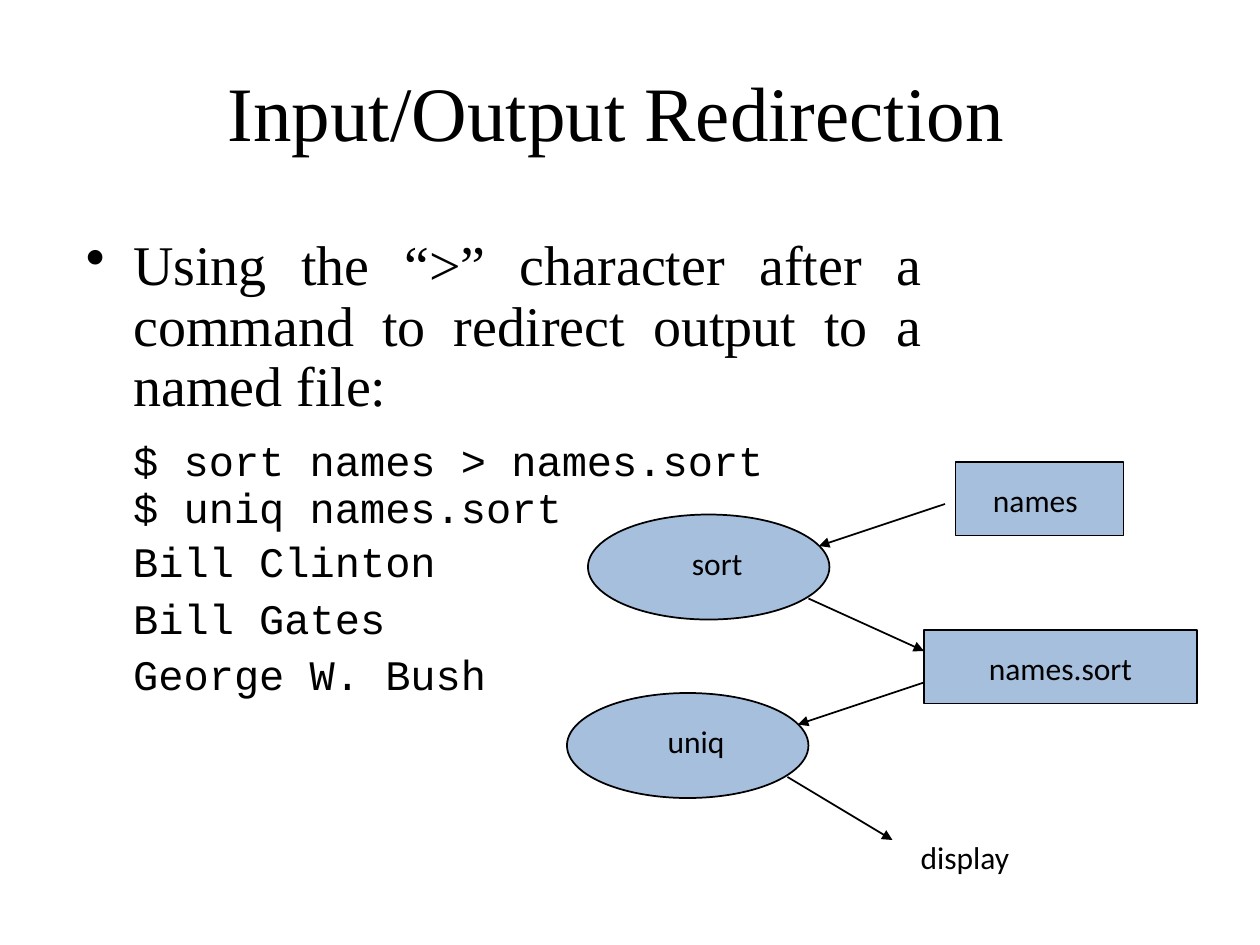
import pptx
import pptx.dml.color
import pptx.enum.shapes
import pptx.enum.text
import pptx.oxml.ns
import pptx.util
from lxml import etree

BLACK = pptx.dml.color.RGBColor(0x00, 0x00, 0x00)
BLUE = pptx.dml.color.RGBColor(0x4F, 0x81, 0xBD)
SHAPE = pptx.enum.shapes.MSO_SHAPE
ALIGN = pptx.enum.text.PP_ALIGN
ANCHOR = pptx.enum.text.MSO_ANCHOR
Pt = pptx.util.Pt
qn = pptx.oxml.ns.qn


class SlideBuilder:
    """Draws styled elements on a slide laid out in 120 columns and 90 rows."""

    heading_font = "Times New Roman"
    code_font = "Courier New"
    label_font = "Calibri"
    cell = pptx.util.Inches(1 / 12)

    def __init__(self, presentation):
        presentation.slide_width = 120 * self.cell
        presentation.slide_height = 90 * self.cell
        self.slide = presentation.slides.add_slide(presentation.slide_layouts[6])

    def place(self, *cells):
        return [round(value * self.cell) for value in cells]

    def apply(self, target, values):
        for name, value in values.items():
            setattr(target, name, value)

    def text_frame(self, box, anchor):
        frame = self.slide.shapes.add_textbox(*self.place(*box)).text_frame
        self.apply(frame, {"word_wrap": True, "vertical_anchor": anchor})
        return frame

    def add_text(self, paragraph, text, font, size, **layout):
        run = paragraph.add_run()
        run.text = text
        self.apply(run.font, {"name": font, "size": Pt(size)})
        run.font.color.rgb = BLACK
        self.apply(paragraph, layout)

    def title(self, text, box):
        frame = self.text_frame(box, ANCHOR.MIDDLE)
        self.add_text(frame.paragraphs[0], text, self.heading_font, 44, alignment=ALIGN.CENTER)

    def body(self, bullet_text, code_lines, box):
        frame = self.text_frame(box, ANCHOR.TOP)
        paragraph = frame.paragraphs[0]
        self.add_text(paragraph, bullet_text, self.heading_font, 32,
                      alignment=ALIGN.JUSTIFY, line_spacing=0.9, space_before=Pt(6.4))
        self.indent(paragraph, "-342900")
        bullet = etree.SubElement(paragraph._p.get_or_add_pPr(), qn("a:buChar"))
        bullet.set("char", "•")
        for text, line_spacing, gap in code_lines:
            paragraph = frame.add_paragraph()
            self.add_text(paragraph, text, self.code_font, 24, alignment=ALIGN.LEFT,
                          line_spacing=line_spacing, space_before=Pt(gap))
            self.indent(paragraph, "0")

    def indent(self, paragraph, first_line):
        properties = paragraph._p.get_or_add_pPr()
        properties.set("marL", "342900")
        properties.set("indent", first_line)

    def node(self, kind, box):
        shape = self.slide.shapes.add_shape(kind, *self.place(*box))
        shape.shadow.inherit = False
        shape.fill.solid()
        shape.fill.fore_color.rgb = BLUE
        color = shape._element.spPr.find(qn("a:solidFill"))[0]
        etree.SubElement(color, qn("a:alpha")).set("val", "50000")
        self.outline(shape)

    def outline(self, shape):
        shape.line.color.rgb = BLACK
        shape.line.width = Pt(1)

    def label(self, text, center_column, center_row):
        frame = self.text_frame((center_column - 10, center_row - 2.5, 20, 5), ANCHOR.MIDDLE)
        self.add_text(frame.paragraphs[0], text, self.label_font, 18, alignment=ALIGN.CENTER)

    def arrow(self, *ends):
        connector = self.slide.shapes.add_connector(
            pptx.enum.shapes.MSO_CONNECTOR.STRAIGHT, *self.place(*ends))
        self.outline(connector)
        line = connector._element.spPr.find(qn("a:ln"))
        etree.SubElement(line, qn("a:tailEnd")).set("type", "triangle")
        etree.SubElement(connector._element.spPr, qn("a:effectLst"))


def main():
    presentation = pptx.Presentation()
    builder = SlideBuilder(presentation)
    builder.title("Input/Output Redirection", (7.2, 3, 103, 15))
    builder.body(
        "Using the “>” character after a command to redirect output to a named file:",
        [
            ("$ sort names > names.sort", 0.7, 17),
            ("$ uniq names.sort", 0.7, 6.4),
            ("Bill Clinton", 0.9, 6.4),
            ("Bill Gates", 0.9, 6.4),
            ("George W. Bush", 0.9, 6.4),
        ],
        (7, 22, 82, 49),
    )
    for kind, box in [
        (SHAPE.OVAL, (54, 66, 23, 10)),
        (SHAPE.RECTANGLE, (88, 60, 26, 7)),
        (SHAPE.RECTANGLE, (91, 44, 16, 7)),
        (SHAPE.OVAL, (56, 49, 23, 10)),
    ]:
        builder.node(kind, box)
    for ends in [(90, 48, 78, 52), (77, 57, 88, 62), (88, 65, 76, 69), (75, 74, 85, 80)]:
        builder.arrow(*ends)
    for text, column, row in [
        ("names", 98.6, 47.6),
        ("sort", 68.3, 53.6),
        ("names.sort", 101, 63.6),
        ("uniq", 66.3, 70.6),
        ("display", 91.9, 81.6),
    ]:
        builder.label(text, column, row)
    presentation.save("out.pptx")


if __name__ == "__main__":
    main()
